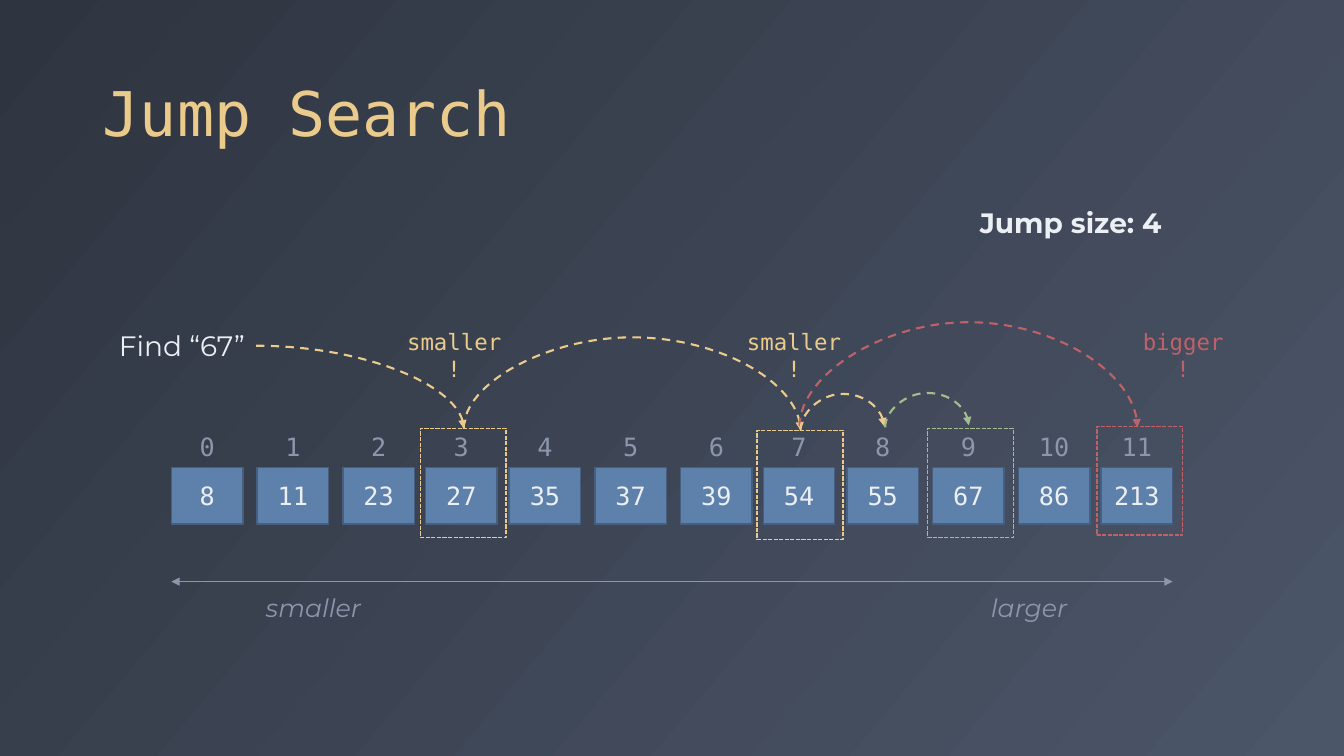
from lxml import etree
from pptx import Presentation
from pptx.dml.color import RGBColor
from pptx.enum.dml import MSO_LINE
from pptx.enum.shapes import MSO_CONNECTOR, MSO_SHAPE
from pptx.enum.text import MSO_ANCHOR, MSO_AUTO_SIZE, PP_ALIGN
from pptx.oxml.ns import qn
from pptx.util import Inches, Pt

LEFT, CENTER, RIGHT = PP_ALIGN.LEFT, PP_ALIGN.CENTER, PP_ALIGN.RIGHT
RECT = MSO_SHAPE.RECTANGLE
MONO, SANS = "DejaVu Sans Mono", "Montserrat"
YELLOW, RED, GREEN = "EBCB8B", "BF6169", "A3BE8C"
WHITE, GREY, BLUE, EDGE = "ECEFF3", "8C97AC", "5E81AC", "465F7F"
rgb = RGBColor.from_string


def write(sp, text, size, color, font=MONO, align=CENTER, wrap=True):
    tf = sp.text_frame
    tf.word_wrap = wrap
    p = tf.paragraphs[0]
    p.alignment = align
    r = p.add_run()
    r.text = text
    r.font.size = Pt(size)
    r.font.name = font
    r.font.color.rgb = rgb(color)
    return r


def style_connector(c, color, width, ends):
    """Colour the line, add arrowheads at the given ends and drop the shadow."""
    c.line.color.rgb = rgb(color)
    c.line.width = Pt(width)
    if width > 1:
        c.line.dash_style = MSO_LINE.DASH
    ln = c.line._get_or_add_ln()
    for end in ends:
        etree.SubElement(ln, qn(f"a:{end}"), type="triangle")
    etree.SubElement(c._element.spPr, qn("a:effectLst"))


prs = Presentation()
prs.slide_width, prs.slide_height = Inches(13.33), Inches(7.5)
s = prs.slides.add_slide(prs.slide_layouts[5])

# Background
fill = s.background.fill
fill.gradient()
fill.gradient_angle = 320
for stop, color in zip(fill.gradient_stops, ("2E3440", "4C5669")):
    stop.color.rgb = rgb(color)

# Title
title = s.shapes.title
title.left, title.top = Inches(0.92), Inches(0.18)
title.width, title.height = Inches(11.5), Inches(1.36)
write(title, "Jump Search", 44, YELLOW, align=LEFT)
title.text_frame.vertical_anchor = MSO_ANCHOR.BOTTOM
title.text_frame.auto_size = MSO_AUTO_SIZE.NONE
title.text_frame.paragraphs[0].line_spacing = 0.9

# Sorted array with its indexes, in blocks of one jump
values = [8, 11, 23, 27, 35, 37, 39, 54, 55, 67, 86, 213]
offsets = [0, 0.85, 1.7, 2.52]
for i, value in enumerate(values):
    block, step = divmod(i, 4)
    x = Inches(1.7 + 3.35 * block + offsets[step])
    cell = s.shapes.add_group_shape().shapes
    sp = cell.add_shape(RECT, x, Inches(4.64), Inches(0.71), Inches(0.56))
    sp.shadow.inherit = False
    sp.fill.solid()
    sp.fill.fore_color.rgb = rgb(BLUE)
    sp.line.color.rgb = rgb(EDGE)
    sp.line.width = Pt(1)
    sp.text_frame.vertical_anchor = MSO_ANCHOR.MIDDLE
    write(sp, str(value), 18, WHITE)
    index = cell.add_textbox(x, Inches(4.23), Inches(0.71), Inches(0.4))
    write(index, str(i), 18, GREY)

# Order axis
axis = s.shapes.add_connector(
    MSO_CONNECTOR.STRAIGHT, Inches(1.7), Inches(5.77), Inches(11.63), Inches(5.77))
style_connector(axis, GREY, 0.5, ["headEnd", "tailEnd"])

# Path from the search key to the first probe
start = s.shapes.add_connector(
    MSO_CONNECTOR.CURVE, Inches(2.54), Inches(3.43), Inches(4.6), Inches(4.25))
start._element.spPr.find(qn("a:prstGeom")).set("prst", "curvedConnector2")
style_connector(start, YELLOW, 1.5, ["tailEnd"])

# Jumps: start, end, height of the top, colour
jumps = [
    (4.6, 4.25, 7.94, 4.27, 3.35, YELLOW),
    (7.93, 4.23, 11.28, 4.24, 3.18, RED),
    (7.94, 4.27, 8.77, 4.23, 3.91, YELLOW),
    (8.78, 4.24, 9.61, 4.22, 3.9, GREEN),
]
for x1, y1, x2, y2, top, color in jumps:
    # The curve is laid out upright, then turned by a quarter about its centre
    w, h = abs(y2 - y1), x2 - x1
    left, upper = (x1 + x2 - w) / 2, (y1 + y2 - h) / 2
    c = s.shapes.add_connector(
        MSO_CONNECTOR.CURVE, Inches(left), Inches(upper), Inches(left + w), Inches(upper + h))
    xfrm = c._element.spPr.find(qn("a:xfrm"))
    xfrm.set("flipH", "1")
    if y2 > y1:
        xfrm.set("rot", str(270 * 60000))
    else:
        xfrm.set("rot", str(90 * 60000))
        xfrm.set("flipV", "1")
    bend = round((y1 - top) / (y1 - y2) * 100000)
    guides = c._element.spPr.find(qn("a:prstGeom")).get_or_add_avLst()
    etree.SubElement(guides, qn("a:gd"), name="adj1", fmla=f"val {bend}")
    style_connector(c, color, 1.5, ["tailEnd"])

# Frames around the probed cells
for x, y, color in [(9.2, 4.25, GREEN), (10.88, 4.23, RED),
                    (4.17, 4.25, YELLOW), (7.51, 4.27, YELLOW)]:
    frame = s.shapes.add_shape(RECT, Inches(x), Inches(y), Inches(0.85), Inches(1.08))
    frame.shadow.inherit = False
    frame.fill.background()
    frame.line.color.rgb = rgb(color)
    frame.line.width = Pt(1)
    frame.line.dash_style = MSO_LINE.SQUARE_DOT

# Results of the comparisons
for x, w, text, color in [(3.92, 1.17, "smaller!", YELLOW),
                          (7.29, 1.17, "smaller!", YELLOW),
                          (11.21, 1.05, "bigger!", RED)]:
    sp = s.shapes.add_textbox(Inches(x), Inches(3.21), Inches(w), Inches(0.37))
    write(sp, text, 16, color)

# Captions
for x, y, w, text, size, color, align, bold, italic in [
    (2.54, 5.83, 1.16, "smaller", 18, GREY, LEFT, False, True),
    (9.73, 5.83, 0.97, "larger", 18, GREY, LEFT, False, True),
    (1.08, 3.21, 1.46, "Find “67”", 20, WHITE, LEFT, False, False),
    (9.6, 1.99, 2.02, "Jump size: 4", 20, WHITE, RIGHT, True, False),
]:
    sp = s.shapes.add_textbox(Inches(x), Inches(y), Inches(w), Inches(0.44))
    r = write(sp, text, size, color, SANS, align, wrap=False)
    r.font.bold, r.font.italic = bold, italic

prs.save("out.pptx")
